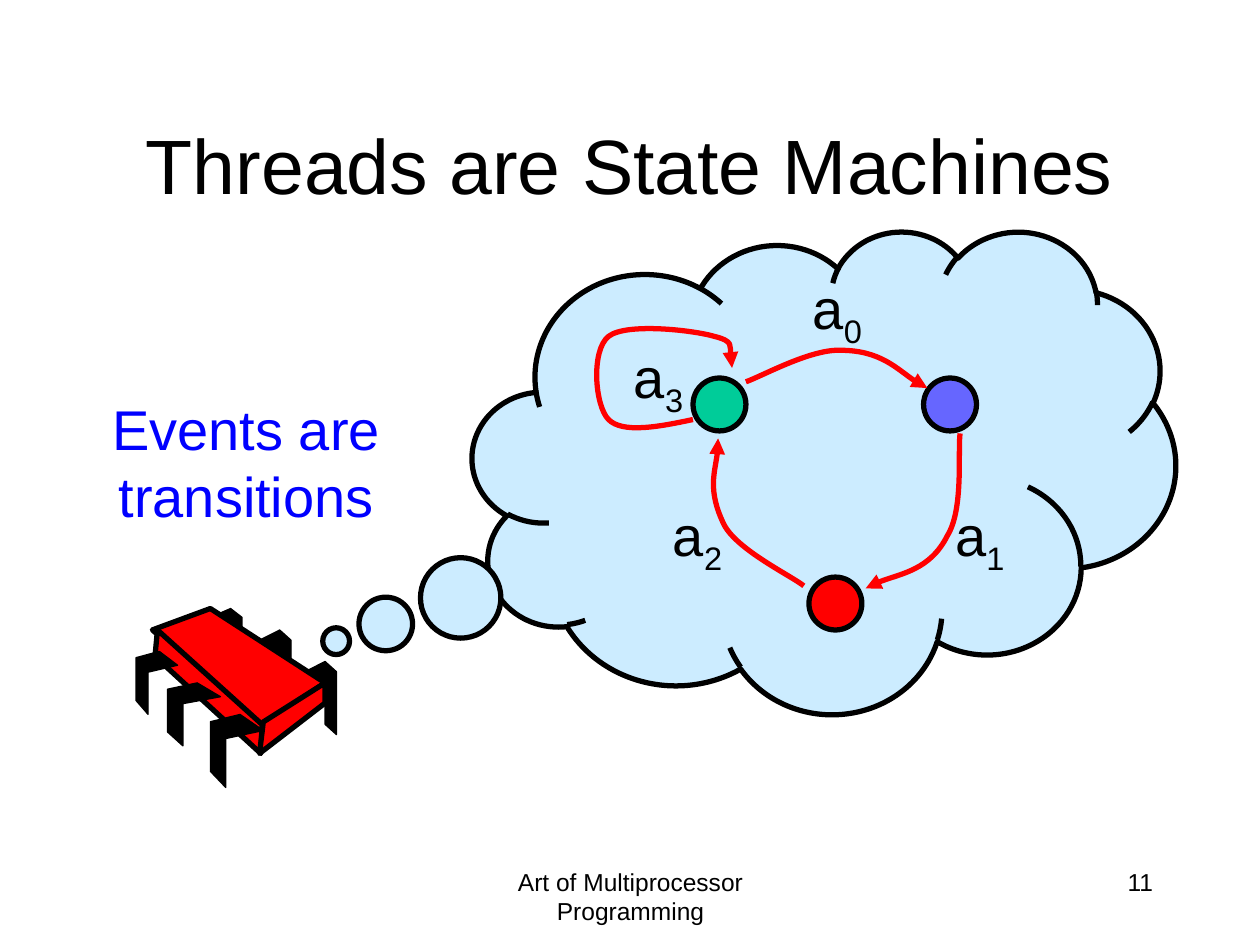
from typing import NamedTuple

from lxml import etree
from pptx import Presentation
from pptx.dml.color import RGBColor
from pptx.enum.shapes import MSO_SHAPE
from pptx.enum.text import MSO_ANCHOR, PP_ALIGN
from pptx.oxml.ns import qn
from pptx.util import Inches, Pt

OVAL, CLOUD = MSO_SHAPE.OVAL, MSO_SHAPE.CLOUD_CALLOUT
CENTER, RIGHT = PP_ALIGN.CENTER, PP_ALIGN.RIGHT
TOP, MIDDLE = MSO_ANCHOR.TOP, MSO_ANCHOR.MIDDLE

BLACK, RED, BLUE = "000000", "FF0000", "0000FF"
GREEN, VIOLET, PALE_BLUE = "00CC99", "6666FF", "CCECFF"
THICK, THIN = 3, 0.75
STATE_SIZE = 0.42

Point = tuple[float, float]


class Box(NamedTuple):
    left: float
    top: float
    width: float
    height: float


class State(NamedTuple):
    left: float
    top: float
    color: str


class Transition(NamedTuple):
    """An arrow's Bézier points (start, then three per curve) and its label."""
    index: str
    label_left: float
    label_top: float
    points: list[Point]


class ChipFace(NamedTuple):
    points: list[Point]


STATES = [State(5.5, 3, GREEN), State(7.33, 3, VIOLET), State(6.42, 4.58, RED)]

TRANSITIONS = [
    Transition("0", 6.31, 2.12, [
        (5.92, 3.03), (6.04, 2.99), (6.43, 2.77), (6.67, 2.78),
        (6.99, 2.78), (7.22, 3.02), (7.36, 3.08)]),
    Transition("1", 7.44, 3.92, [
        (7.62, 3.44), (7.6, 3.58), (7.65, 4.04), (7.52, 4.25),
        (7.38, 4.53), (7.01, 4.58), (6.87, 4.67)]),
    Transition("2", 5.2, 3.92, [
        (6.38, 4.65), (6.28, 4.57), (5.86, 4.37), (5.75, 4.17),
        (5.61, 3.89), (5.71, 3.62), (5.7, 3.48)]),
    Transition("3", 4.89, 2.67, [
        (5.5, 3.33), (5.22, 3.39), (4.94, 3.44), (4.83, 3.33),
        (4.72, 3.22), (4.69, 2.78), (4.83, 2.67),
        (4.97, 2.56), (5.5, 2.62), (5.67, 2.67),
        (5.83, 2.71), (5.8, 2.87), (5.81, 2.92)]),
]

# Leg outlines as fractions of each leg's box
BACK_LEG = [(0, 0.14), (0.64, 0), (1, 0.14), (1, 1), (0.64, 0.86), (0.64, 0.29), (0, 0.43)]
FRONT_LEG = [(0.56, 0), (1, 0.22), (0.29, 0.33), (0.29, 1), (0, 0.78), (0, 0.1)]
BACK_LEG_BOXES = [Box(2.42, 5.25, 0.25, 0.58), Box(2.06, 5, 0.25, 0.58),
                  Box(1.67, 4.83, 0.25, 0.5)]
FRONT_LEG_BOXES = [Box(1.67, 5.67, 0.42, 0.58), Box(1.33, 5.42, 0.42, 0.5),
                   Box(1.08, 5.17, 0.33, 0.5)]
CHIP_FACES = [
    ChipFace([(1.67, 4.83), (2.58, 5.42), (2.07, 5.76), (1.21, 5)]),
    ChipFace([(1.25, 5), (2.08, 5.75), (2.07, 5.98), (1.23, 5.21)]),
    ChipFace([(2.58, 5.42), (2.58, 5.58), (2.06, 5.98), (2.09, 5.73)]),
]


def rgb(color: str) -> RGBColor:
    return RGBColor.from_string(color)


def style(shape, fill: str | None, line: str, weight: float) -> None:
    shape.shadow.inherit = False
    if fill is None:
        shape.fill.background()
    else:
        shape.fill.solid()
        shape.fill.fore_color.rgb = rgb(fill)
    shape.line.color.rgb = rgb(line)
    shape.line.width = Pt(weight)


def add_preset(shapes, preset, box: Box, fill: str):
    shape = shapes.add_shape(preset, *map(Inches, box))
    style(shape, fill, BLACK, THICK)
    return shape


def add_outline(shapes, points: list[Point], close: bool = True):
    start, *rest = [(Inches(x), Inches(y)) for x, y in points]
    builder = shapes.build_freeform(*start)
    builder.add_line_segments(rest, close=close)
    return builder.convert_to_shape()


def add_legs(shapes, outline: list[Point], boxes: list[Box]) -> None:
    for box in boxes:
        leg = add_outline(shapes, [(box.left + x * box.width, box.top + y * box.height)
                                   for x, y in outline])
        style(leg, BLACK, BLACK, THIN)


def add_chip(shapes) -> None:
    chip = shapes.add_group_shape().shapes
    add_legs(chip, BACK_LEG, BACK_LEG_BOXES)
    for face in CHIP_FACES:
        style(add_outline(chip, face.points), RED, BLACK, THICK)
    add_legs(chip, FRONT_LEG, FRONT_LEG_BOXES)


def add_curved_arrow(shapes, points: list[Point]) -> None:
    """Draw the control polygon, then turn each three segments into one curve."""
    arrow = add_outline(shapes, points, close=False)
    style(arrow, None, RED, THICK)
    segments = list(arrow.element.iter(qn("a:lnTo")))
    outline = segments[0].getparent()
    for first in range(0, len(segments), 3):
        curve = etree.SubElement(outline, qn("a:cubicBezTo"))
        for segment in segments[first:first + 3]:
            curve.append(segment[0])
            outline.remove(segment)
    etree.SubElement(arrow.line._get_or_add_ln(), qn("a:tailEnd"), type="triangle")


def add_text(shapes, box: Box, text: str, size: float, color: str = BLACK,
             align=CENTER, anchor=TOP, wrap: bool = True):
    frame = shapes.add_textbox(*map(Inches, box)).text_frame
    frame.word_wrap = wrap
    frame.vertical_anchor = anchor
    paragraph = frame.paragraphs[0]
    paragraph.alignment = align
    paragraph.font.name = "Arial"
    paragraph.font.size = Pt(size)
    paragraph.font.color.rgb = rgb(color)
    paragraph.add_run().text = text
    return paragraph


def add_transition_label(shapes, transition: Transition) -> None:
    box = Box(transition.label_left, transition.label_top, 0.63, 0.64)
    label = add_text(shapes, box, "a", 32, align=RIGHT, wrap=False)
    subscript = label.add_run()
    subscript.text = transition.index
    subscript.font._element.set("baseline", "-25000")


def main() -> None:
    prs = Presentation()
    prs.slide_width, prs.slide_height = Inches(10), Inches(7.5)
    shapes = prs.slides.add_slide(prs.slide_layouts[6]).shapes

    add_text(shapes, Box(3.42, 6.83, 3.17, 0.5), "Art of Multiprocessor Programming", 14)
    add_text(shapes, Box(7.17, 6.83, 2.08, 0.5), "11", 14, align=RIGHT)

    thought = add_preset(shapes, CLOUD, Box(3.75, 1.83, 5.58, 3.83), PALE_BLUE)
    thought.adjustments[0] = -0.694
    thought.adjustments[1] = 0.351

    add_text(shapes, Box(0.75, 0.67, 8.5, 1.25), "Threads are State Machines", 44,
             anchor=MIDDLE)
    add_chip(shapes)
    for state in STATES:
        add_preset(shapes, OVAL, Box(state.left, state.top, STATE_SIZE, STATE_SIZE),
                   state.color)
    for transition in TRANSITIONS:
        add_curved_arrow(shapes, transition.points)
    add_text(shapes, Box(0.58, 3.08, 2.75, 1.17), "Events are transitions", 32, BLUE)
    for transition in TRANSITIONS:
        add_transition_label(shapes, transition)

    prs.save("out.pptx")


if __name__ == "__main__":
    main()
